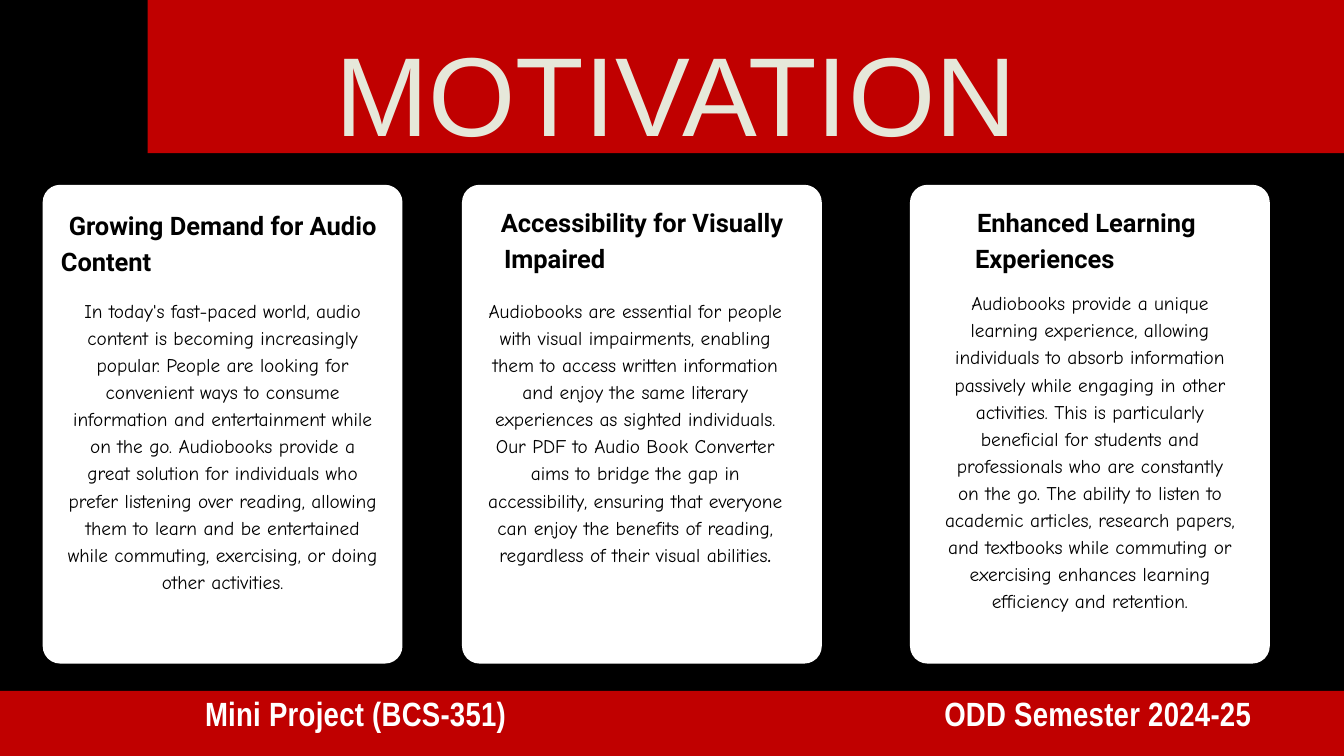
from lxml.etree import SubElement
from pptx import Presentation
from pptx.dml.color import RGBColor
from pptx.enum.shapes import MSO_SHAPE as Shape
from pptx.enum.text import MSO_ANCHOR as Anchor, MSO_AUTO_SIZE as Fit, PP_ALIGN as Align
from pptx.oxml.ns import qn
from pptx.util import Pt

PX = 9525
COLORS = {"back": "000000", "band": "C00000", "card": "FFFFFF",
          "title": "E6E8DA", "text": "000000", "foot": "FFFFFF"}
TITLE = "MOTIVATION"
FOOT = ("Mini Project (BCS-351)", "ODD Semester 2024-25")
FOOT_X = (293, 1349)
CARD_TOP, CARD_W, CARD_H, RADIUS = 264, 514, 684, 25

# x: card left; head and body: left, top, width; indent: second head line
CARDS = [
    dict(x=61, head=(78, 293, 480), indent=9, body=(95, 422, 446),
         lines=("Growing Demand for Audio", "Content"),
         text="In today's fast-paced world, audio content is becoming increasingly popular. "
              "People are looking for convenient ways to consume information and entertainment "
              "while on the go. Audiobooks provide a great solution for individuals who prefer "
              "listening over reading, allowing them to learn and be entertained while "
              "commuting, exercising, or doing other activities.", end=""),
    dict(x=660, head=(693, 289, 448), indent=27, body=(693, 422, 429),
         lines=("Accessibility for Visually", "Impaired"),
         text="Audiobooks are essential for people with visual impairments, enabling them to "
              "access written information and enjoy the same literary experiences as sighted "
              "individuals. Our PDF to Audio Book Converter aims to bridge the gap in "
              "accessibility, ensuring that everyone can enjoy the benefits of reading, "
              "regardless of their visual abilities", end="."),
    dict(x=1300, head=(1351, 289, 402), indent=42, body=(1349, 411, 416),
         lines=("Enhanced Learning", "Experiences"),
         text="Audiobooks provide a unique learning experience, allowing individuals to absorb "
              "information passively while engaging in other activities. This is particularly "
              "beneficial for students and professionals who are constantly on the go. The "
              "ability to listen to academic articles, research papers, and textbooks while "
              "commuting or exercising enhances learning efficiency and retention.", end=""),
]


def rgb(name):
    return RGBColor.from_string(COLORS[name])


def block(kind, x, y, w, h, color):
    shape = slide.shapes.add_shape(kind, *(n * PX for n in (x, y, w, h)))
    shape.shadow.inherit = False
    shape.fill.solid()
    shape.fill.fore_color.rgb = rgb(color)
    shape.line.fill.background()
    return shape


def add_box(x, y, w, h):
    return slide.shapes.add_textbox(*(n * PX for n in (x, y, w, h)))


def add_run(para, text, size, font, color, bold):
    run = para.add_run()
    run.text = text
    run.font.size, run.font.name, run.font.bold = Pt(size), font, bold
    run.font.color.rgb = rgb(color)
    return run


def write(box, *lines, size, font, lead, color="text", bold=False, align=Align.CENTER):
    """Fill the box with one paragraph a line and return the paragraphs."""
    frame = box.text_frame
    frame.word_wrap, frame.auto_size = True, Fit.NONE
    frame.vertical_anchor = Anchor.TOP
    frame.margin_left = frame.margin_right = frame.margin_top = frame.margin_bottom = 0
    for i, line in enumerate(lines):
        para = frame.paragraphs[0] if i == 0 else frame.add_paragraph()
        para.alignment, para.line_spacing = align, Pt(lead)
        add_run(para, line, size, font, color, bold)
    return frame.paragraphs


deck = Presentation()
deck.slide_width, deck.slide_height = 1920 * PX, 1080 * PX
slide = deck.slides.add_slide(deck.slide_layouts[5])
slide.background.fill.solid()
slide.background.fill.fore_color.rgb = rgb("back")

block(Shape.RECTANGLE, 211, 0, 1709, 219, "band")
block(Shape.RECTANGLE, 0, 987, 1920, 93, "band")

title = slide.shapes.title
title.left, title.top, title.width, title.height = (n * PX for n in (342, 2, 1248, 217))
write(title, TITLE, size=120.2, font="Arial", lead=168.3, color="title")
title.element.getparent().append(title.element)  # in front of the band

left, right = FOOT_X
foot = write(add_box(left, 996, 1920 - left, 84), "\t".join(FOOT), size=36,
             font="Arial Narrow", lead=38.9, color="foot", bold=True, align=Align.LEFT)[0]
tabs = SubElement(foot._p.get_or_add_pPr(), qn("a:tabLst"))
SubElement(tabs, qn("a:tab"), pos=str((right - left) * PX), algn="l")
for run in foot.runs:
    run.font._element.set("spc", "30")

for card in CARDS:
    panel = block(Shape.ROUNDED_RECTANGLE, card["x"], CARD_TOP, CARD_W, CARD_H, "card")
    panel.adjustments[0] = RADIUS / CARD_W

    last = write(add_box(*card["head"], 103), *card["lines"], size=27.3,
                 font="Roboto", lead=38.2, bold=True)[-1]
    last.alignment = Align.LEFT
    last._p.get_or_add_pPr().set("marL", str(card["indent"] * PX))

    x, y, w = card["body"]
    para = write(add_box(x, y, w, CARD_TOP + CARD_H - y), card["text"], size=20.7,
                 font="Comic Neue", lead=29)[0]
    if card["end"]:
        add_run(para, card["end"], 20.7, "Comic Neue", "text", True)

deck.save("out.pptx")
